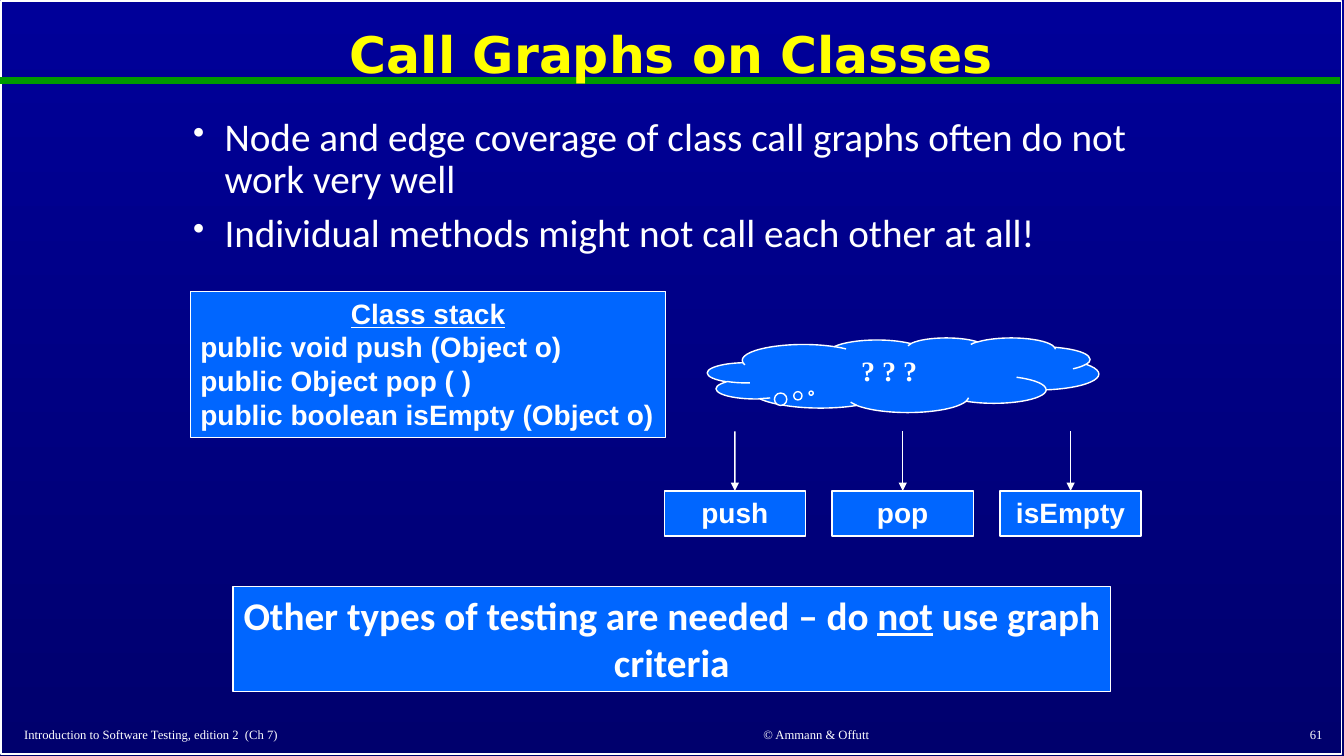
from dataclasses import dataclass

from lxml.etree import SubElement
from pptx import Presentation
from pptx.dml.color import RGBColor
from pptx.enum.shapes import MSO_CONNECTOR, MSO_SHAPE
from pptx.enum.text import MSO_ANCHOR as Anchor, PP_ALIGN as Align
from pptx.oxml.ns import qn
from pptx.util import Cm, Pt


@dataclass(frozen=True)
class Theme:
    sky: str = "000099"
    depth: str = "00006D"
    panel: str = "0066FF"
    ink: str = "FFFFFF"
    heading: str = "FFFF00"
    rule: str = "009900"
    title_size: float = 36
    body_size: float = 28
    code_size: float = 20
    footer_size: float = 9
    title_font: str = "DejaVu Sans"
    body_font: str = "Calibri"
    code_font: str = "Arial"
    serif_font: str = "Times New Roman"


@dataclass(frozen=True)
class Type:
    font: str
    size: float
    color: str
    bold: bool = False


class SlideBuilder:
    def __init__(self, slide, theme):
        self.slide, self.theme = slide, theme

    def background(self):
        fill = self.slide.background.fill
        fill.gradient()
        fill.gradient_angle = 270
        for stop, color in zip(fill.gradient_stops, (self.theme.sky, self.theme.depth)):
            stop.color.rgb = RGBColor.from_string(color)

    def fill_frame(self, frame, paragraphs, style, aligns, anchor=Anchor.TOP):
        """Fill a frame; each paragraph is a list of (text, underlined) runs."""
        frame.word_wrap = True
        frame.vertical_anchor = anchor
        for index, (runs, align) in enumerate(zip(paragraphs, aligns)):
            paragraph = frame.add_paragraph() if index else frame.paragraphs[0]
            paragraph.alignment = align
            for words, underlined in runs:
                run = paragraph.add_run()
                run.text = words
                run.font.name = style.font
                run.font.size = Pt(style.size)
                run.font.bold = style.bold
                run.font.underline = underlined
                run.font.color.rgb = RGBColor.from_string(style.color)

    def text(self, box, lines, style, align=Align.LEFT, anchor=Anchor.MIDDLE):
        frame = self.slide.shapes.add_textbox(*map(Cm, box)).text_frame
        self.fill_frame(frame, [[(line, False)] for line in lines], style,
                        [align] * len(lines), anchor)
        return frame

    def bullets(self, box, lines, style):
        frame = self.text(box, lines, style, anchor=Anchor.TOP)
        for paragraph in frame.paragraphs:
            paragraph.line_spacing = 0.9
            paragraph.space_before = Pt(0.3 * style.size)
            properties = paragraph._p.get_or_add_pPr()
            properties.set("marL", str(Cm(0.79)))
            properties.set("indent", str(-Cm(0.79)))
            SubElement(properties, qn("a:buSzPct")).set("val", "85000")
            SubElement(properties, qn("a:buChar")).set("char", "•")

    def shape(self, box, kind=MSO_SHAPE.RECTANGLE, filled=True):
        shape = self.slide.shapes.add_shape(kind, *map(Cm, box))
        shape.shadow.inherit = False
        if filled:
            shape.fill.solid()
            shape.fill.fore_color.rgb = RGBColor.from_string(self.theme.panel)
        else:
            shape.fill.background()
        shape.line.color.rgb = RGBColor.from_string(self.theme.ink)
        shape.line.width = Pt(1)
        return shape

    def panel(self, box, paragraphs, style, aligns=(Align.CENTER,), kind=MSO_SHAPE.RECTANGLE):
        panel = self.shape(box, kind)
        self.fill_frame(panel.text_frame, paragraphs, style, aligns)
        return panel

    def line(self, start, end, color, width):
        line = self.slide.shapes.add_connector(MSO_CONNECTOR.STRAIGHT, *map(Cm, start + end))
        line.line.color.rgb = RGBColor.from_string(color)
        line.line.width = Pt(width)
        SubElement(line._element.spPr, qn("a:effectLst"))
        return line

    def arrow_down(self, start, target):
        """Draw an arrow from start to the top side of the target."""
        arrow = self.line(start, start, self.theme.ink, 1)
        arrow.end_connect(target, 0)
        SubElement(arrow.line._get_or_add_ln(), qn("a:tailEnd")).set("type", "triangle")


def main():
    theme = Theme()
    deck = Presentation()
    deck.slide_width, deck.slide_height = Cm(33.87), Cm(19.05)
    page = SlideBuilder(deck.slides.add_slide(deck.slide_layouts[6]), theme)

    title = Type(theme.title_font, theme.title_size, theme.heading, True)
    body = Type(theme.body_font, theme.body_size, theme.ink)
    emphasis = Type(theme.body_font, theme.body_size, theme.ink, True)
    code = Type(theme.code_font, theme.code_size, theme.ink, True)
    question = Type(theme.serif_font, theme.code_size, theme.ink, True)
    footer = Type(theme.serif_font, theme.footer_size, theme.ink)

    page.background()
    page.shape((0.03, 0.03, 33.78, 18.97), filled=False)
    page.line((0, 2.03), (33.78, 2.03), theme.rule, 4.5)

    for left, width, words, align in (
        (0.36, 13.92, "Introduction to Software Testing, edition 2  (Ch 7)", Align.LEFT),
        (15.21, 10.72, "© Ammann & Offutt", Align.CENTER),
        (26.52, 7.06, "61", Align.RIGHT),
    ):
        page.text((left, 18.17, width, 0.67), [words], footer, align)

    heading = page.text((0.25, 0.28, 33.35, 2.34), ["Call Graphs on Classes"], title, Align.CENTER)
    heading.paragraphs[0].line_spacing = 0.9
    page.bullets((4.62, 2.84, 24.64, 4.32), [
        "Node and edge coverage of class call graphs often do not work very well",
        "Individual methods might not call each other at all!",
    ], body)

    signatures = ["public void push (Object o)", "public Object pop ( )",
                  "public boolean isEmpty (Object o)"]
    page.panel((4.8, 7.34, 11.98, 3.68),
               [[("Class stack", True)]] + [[(signature, False)] for signature in signatures],
               code, [Align.CENTER] + [Align.LEFT] * len(signatures))
    page.panel((5.87, 14.78, 22.12, 2.64), [[
        ("Other types of testing are needed – do ", False),
        ("not", True),
        (" use graph criteria", False),
    ]], emphasis)

    method_width, method_step = 3.56, 4.23
    for column, method in enumerate(("push", "pop", "isEmpty")):
        left = 16.74 + column * method_step
        method_box = page.panel((left, 12.37, method_width, 1.14), [[(method, False)]], code)
        page.arrow_down((left + method_width / 2, 10.87), method_box)

    cloud = page.panel((17.83, 8.51, 9.86, 1.88), [[("? ? ?", False)]], question,
                       kind=MSO_SHAPE.CLOUD_CALLOUT)
    cloud.adjustments[0], cloud.adjustments[1] = -0.235, 0.244

    deck.save("out.pptx")


if __name__ == "__main__":
    main()
